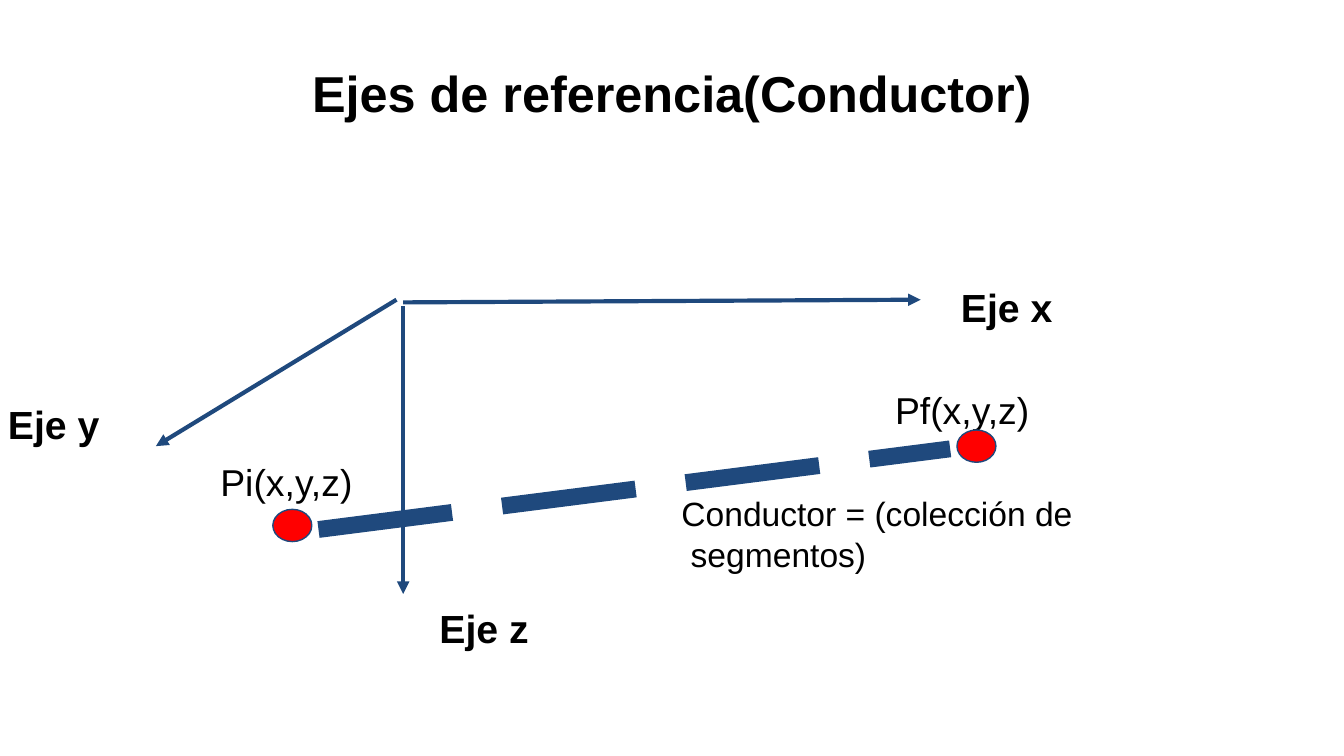
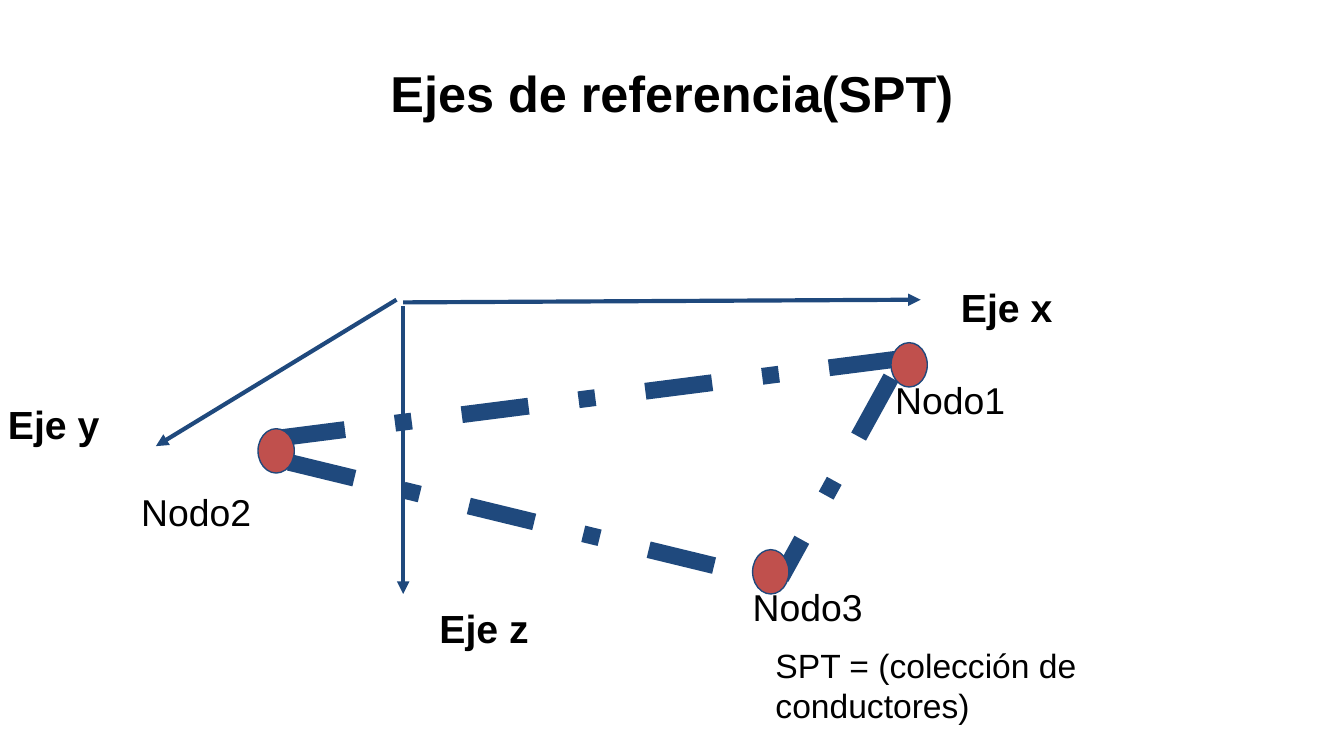
from lxml import etree
from pptx import Presentation
from pptx import util as u
from pptx.dml.color import RGBColor
from pptx.enum import dml, shapes, text
from pptx.oxml.ns import qn

WIDE = 10
HIGH = WIDE * 9 / 16
BLACK = RGBColor(0x00, 0x00, 0x00)
NAVY = RGBColor(0x1F, 0x49, 0x7D)
RED = RGBColor(0xFF, 0x00, 0x00)
BRICK = RGBColor(0xC0, 0x50, 0x4D)
FONT = "Arial"
PAD = 0.08
LONG = dml.MSO_LINE.LONG_DASH
MIXED = dml.MSO_LINE.DASH_DOT

# Axis: name, label corner, line start, line end
AXES = [
    ("Eje x", (7.07, 2.03), (3, 2.25), (6.85, 2.23)),
    ("Eje y", (-0.02, 2.9), (2.95, 2.23), (1.16, 3.32)),
    ("Eje z", (3.19, 4.42), (3, 2.28), (3, 4.42)),
]

# Nodes: name, label corner, dot corner. Note: text, corner, width
SLIDES = [
    dict(
        title="Ejes de referencia(Conductor)",
        dash=LONG, color=RED, dot=(0.29, 0.24),
        wires=[((2.37, 3.94), (7.07, 3.34))],
        nodes=[("Pf(x,y,z)", (6.58, 2.8), (7.12, 3.2)),
               ("Pi(x,y,z)", (1.56, 3.34), (2.03, 3.79))],
        note=("Conductor = (colección de\v segmentos)", (4.99, 3.59), 3.09),
    ),
    dict(
        title="Ejes de referencia(SPT)",
        dash=MIXED, color=BRICK, dot=(0.27, 0.33),
        wires=[((2.07, 3.26), (6.77, 2.66)),
               ((6.63, 2.81), (5.81, 4.3)),
               ((2.15, 3.44), (5.69, 4.3))],
        nodes=[("Nodo1", (6.58, 2.73), (6.63, 2.55)),
               ("Nodo2", (0.97, 3.56), (1.92, 3.19)),
               ("Nodo3", (5.52, 4.27), (5.6, 4.09))],
        note=("SPT = (colección de conductores)", (5.69, 4.72), 3.85),
    ),
]


def inches(*sizes):
    return [u.Inches(size) for size in sizes]


def write(slide, words, at, size, points, bold=False, pad=PAD,
          align=text.PP_ALIGN.LEFT, anchor=text.MSO_ANCHOR.TOP):
    box = slide.shapes.add_textbox(*inches(*at, *size))
    frame = box.text_frame
    frame.word_wrap = True
    frame.vertical_anchor = anchor
    frame.margin_left = frame.margin_right = u.Inches(pad)
    frame.margin_top = frame.margin_bottom = u.Inches(pad)
    para = frame.paragraphs[0]
    para.text = words
    para.alignment = align
    for run in para.runs:
        font = run.font
        font.name, font.size, font.bold = FONT, u.Pt(points), bold
        font.color.rgb = BLACK


def draw(slide, start, end, points, dash=None, arrow=False):
    wire = slide.shapes.add_connector(
        shapes.MSO_CONNECTOR.STRAIGHT, *inches(*start, *end))
    line = wire.line
    line.color.rgb = NAVY
    line.width = u.Pt(points)
    if dash:
        line.dash_style = dash
    props = wire.element.spPr
    if arrow:
        etree.SubElement(props.find(qn("a:ln")), qn("a:tailEnd"), type="triangle")
    etree.SubElement(props, qn("a:effectLst"))


def mark(slide, at, size, color):
    dot = slide.shapes.add_shape(shapes.MSO_SHAPE.OVAL, *inches(*at, *size))
    dot.shadow.inherit = False
    dot.fill.solid()
    dot.fill.fore_color.rgb = color
    dot.line.color.rgb = NAVY
    dot.line.width = u.Pt(0.75)


def frame_axes(slide, title):
    """Add the title and the three axes that every slide shares."""
    write(slide, title, (0.05 * WIDE, 0.22), (0.9 * WIDE, 0.94), 27, bold=True,
          pad=0, align=text.PP_ALIGN.CENTER, anchor=text.MSO_ANCHOR.MIDDLE)
    for _, _, start, end in AXES:
        draw(slide, start, end, 2.25, arrow=True)
    for name, at, _, _ in AXES:
        write(slide, name, at, (1.14, 0.42), 21, bold=True)


def main():
    deck = Presentation()
    deck.slide_width, deck.slide_height = inches(WIDE, HIGH)
    for data in SLIDES:
        slide = deck.slides.add_slide(deck.slide_layouts[6])
        frame_axes(slide, data["title"])
        for start, end in data["wires"]:
            draw(slide, start, end, 9, dash=data["dash"])
        for name, at, _ in data["nodes"]:
            write(slide, name, at, (1.63, 0.41), 20)
        words, at, width = data["note"]
        write(slide, words, at, (width, 0.64), 18)
        for _, _, at in data["nodes"]:
            mark(slide, at, data["dot"], data["color"])
    deck.save("out.pptx")


if __name__ == "__main__":
    main()
